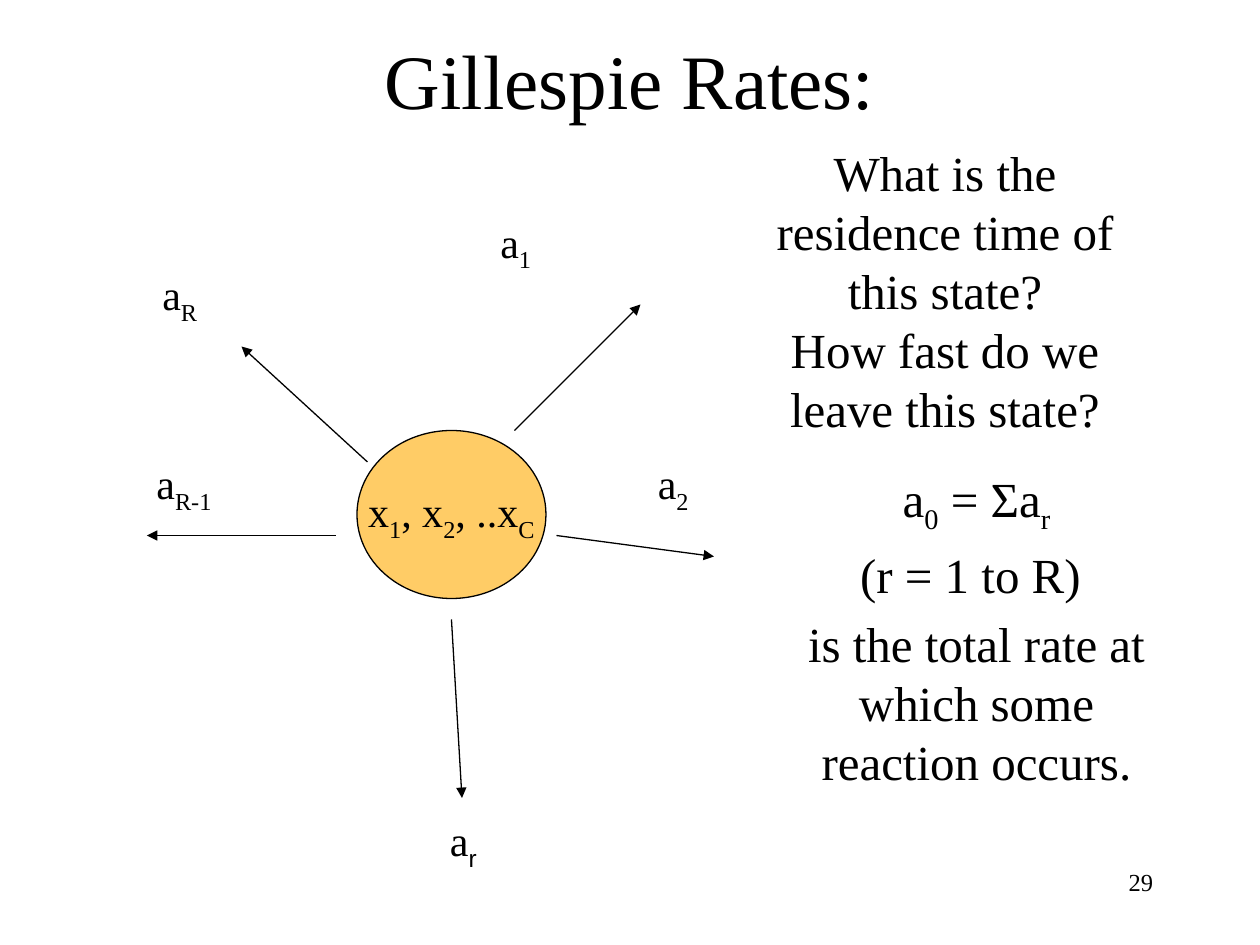
from lxml.etree import SubElement
from pptx import Presentation
from pptx.dml.color import RGBColor
from pptx.enum.shapes import MSO_CONNECTOR, MSO_SHAPE
from pptx.enum.text import MSO_ANCHOR, PP_ALIGN
from pptx.oxml.ns import qn
from pptx.util import Inches, Pt

FONT = "Times New Roman"
INK = "000000"


def unit(n):
    """Turn grid steps, twelve to the inch, into a length."""
    return Inches(n / 12)


def color(code):
    """Turn a hex string into a colour."""
    return RGBColor.from_string(code)


def write(frame, lines, size, align=PP_ALIGN.CENTER, gap=0):
    """Fill a frame with paragraphs whose parts between bars are subscripts."""
    for i, line in enumerate(lines):
        para = frame.paragraphs[0] if i == 0 else frame.add_paragraph()
        para.alignment = align
        para.space_before = Pt(gap)
        for j, part in enumerate(line.split("|")):
            if part:
                run = para.add_run()
                run.text = part
                run.font.name = FONT
                run.font.size = Pt(size)
                run.font.color.rgb = color(INK)
                if j % 2:
                    run._r.get_or_add_rPr().set("baseline", "-25000")


def add_text(slide, area, lines, size, **style):
    """Add a wrapped text box on the grid and return its frame."""
    frame = slide.shapes.add_textbox(*map(unit, area)).text_frame
    frame.word_wrap = True
    write(frame, lines, size, **style)
    return frame


def add_state(slide, area, text):
    """Add the ellipse that stands for the current state."""
    oval = slide.shapes.add_shape(MSO_SHAPE.OVAL, *map(unit, area))
    oval.shadow.inherit = False
    oval.fill.solid()
    oval.fill.fore_color.rgb = color("FFCC66")
    oval.line.color.rgb = color(INK)
    oval.line.width = Pt(0.75)
    frame = oval.text_frame
    frame.word_wrap = False
    frame.vertical_anchor = MSO_ANCHOR.MIDDLE
    write(frame, [text], 24)


def add_arrow(slide, ends):
    """Add a straight arrow between two grid points."""
    line = slide.shapes.add_connector(MSO_CONNECTOR.STRAIGHT, *map(unit, ends))
    line.line.color.rgb = color(INK)
    line.line.width = Pt(0.75)
    SubElement(line.line._get_or_add_ln(), qn("a:tailEnd"), type="triangle")
    SubElement(line._element.spPr, qn("a:effectLst"))


def add_title(slide, area, text):
    """Place and format the title placeholder."""
    title = slide.shapes.title
    title.left, title.top, title.width, title.height = map(unit, area)
    title.text_frame.vertical_anchor = MSO_ANCHOR.MIDDLE
    write(title.text_frame, [text], 44)


def main():
    """Build the slide and save it."""
    deck = Presentation()
    deck.slide_width, deck.slide_height = unit(120), unit(90)
    slide = deck.slides.add_slide(deck.slide_layouts[5])

    add_text(slide, (86, 82, 25, 6), ["29"], 14, align=PP_ALIGN.RIGHT)
    add_title(slide, (9, 0, 102, 15), "Gillespie Rates:")
    add_state(slide, (34, 41, 18, 16), "x|1|, x|2|, ..x|C|")

    rates = [
        ("1", (36, 20), (49, 41, 61, 29)),
        ("2", (51, 43), (53, 51, 68, 53)),
        ("r", (31, 77), (43, 59, 44, 76)),
        ("R-1", (4.4, 43), (32, 51, 14, 51)),
        ("R", (4, 25), (35, 44, 23, 33)),
    ]
    for sub, spot, ends in rates:
        add_arrow(slide, ends)
        frame = add_text(slide, (*spot, 26.25, 6), [f"a|{sub}|"], 24)
        if sub == "r":
            frame.paragraphs[0].runs[-1].font.name = "Arial"

    ask = ["What is the residence time of this state?",
           "How fast do we leave this state?"]
    add_text(slide, (69, 13, 42, 29.5), ask, 28)
    total = ["a|0| = Σa|r|", "(r = 1 to R) ",
             "is the total rate at which some reaction occurs."]
    add_text(slide, (74, 44, 38, 31.75), total, 28, gap=5.6)
    deck.save("out.pptx")


if __name__ == "__main__":
    main()
